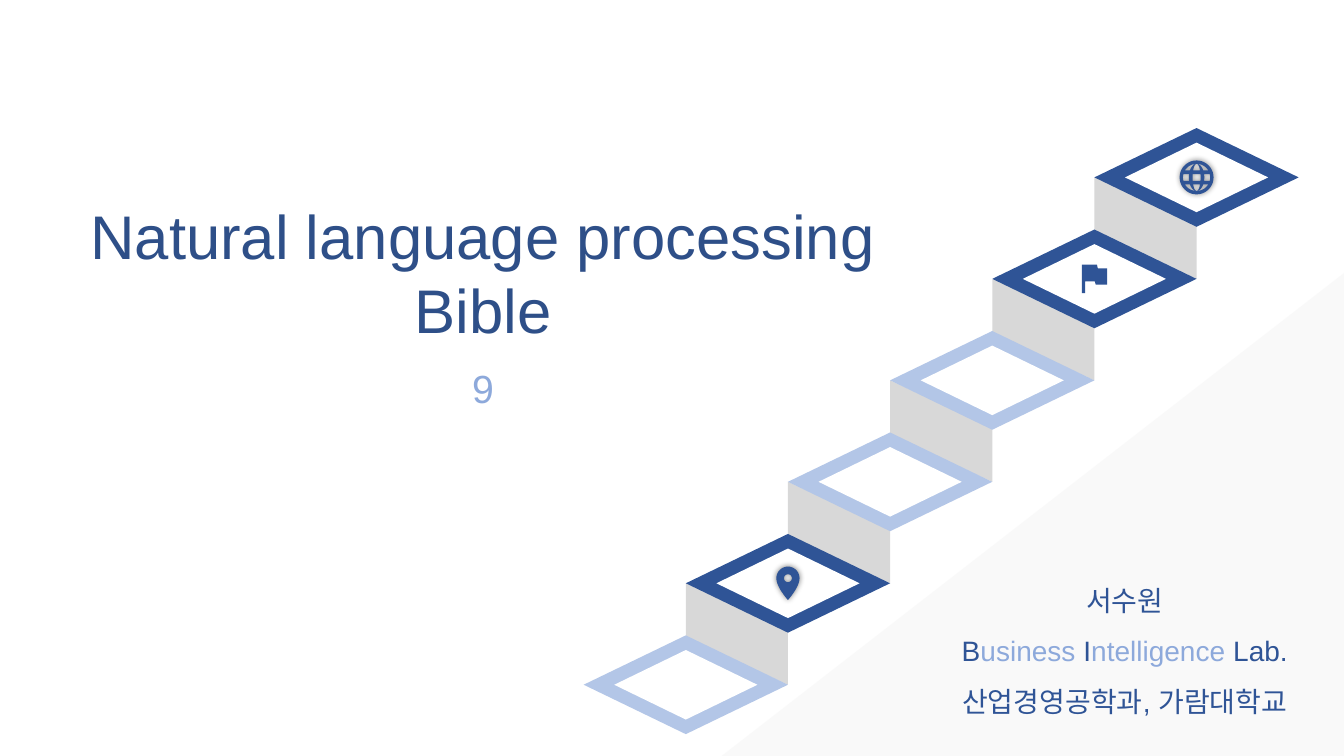
from math import cos, pi, sin, sqrt

from lxml import etree
from pptx import Presentation
from pptx import util as u
from pptx.dml.color import RGBColor
from pptx.enum import shapes, text
from pptx.oxml.ns import qn

NAVY = RGBColor(0x2F, 0x54, 0x96)
TITLE_BLUE = RGBColor(0x2E, 0x4F, 0x88)
SOFT_BLUE = RGBColor(0x8D, 0xA9, 0xDB)
PALE_BLUE = RGBColor(0xB3, 0xC6, 0xE7)
RISER_GREY = RGBColor(0xD8, 0xD8, 0xD8)
CORNER_GREY = RGBColor(0xF2, 0xF2, 0xF2)
WHITE = RGBColor(0xFF, 0xFF, 0xFF)

COLUMNS, ROWS = 160, 90
FONT = "Arial"

# Centres of the steps, from the lowest to the highest, in grid cells
STEP_COLORS = [PALE_BLUE, NAVY, PALE_BLUE, PALE_BLUE, NAVY, NAVY]
STEP_CENTERS = [(81.65 + 12.16 * step, 81.52 - 12.08 * step)
                for step in range(len(STEP_COLORS))]


class Page:
    """Draws on one slide; all lengths are cells of a 160 by 90 grid."""

    def __init__(self, deck):
        self.shapes = deck.slides.add_slide(deck.slide_layouts[6]).shapes
        self.column = deck.slide_width / COLUMNS
        self.row = deck.slide_height / ROWS

    def place(self, left, top, width, height):
        return (round(left * self.column), round(top * self.row),
                round(width * self.column), round(height * self.row))

    def paint(self, shape, color):
        shape.shadow.inherit = False
        shape.fill.solid()
        shape.fill.fore_color.rgb = color
        shape.line.fill.background()
        return shape

    def preset(self, kind, area, color):
        return self.paint(self.shapes.add_shape(kind, *self.place(*area)), color)

    def centered(self, kind, center, width, height, color):
        """Adds a preset shape around its centre."""
        area = (center[0] - width / 2, center[1] - height / 2, width, height)
        return self.preset(kind, area, color)

    def icon(self, center, outlines, glow=False):
        """Adds one freeform; outlines after the first one are holes."""
        contours = [[self.place(center[0] + x, center[1] + y, 0, 0)[:2]
                     for x, y in outline] for outline in outlines]
        builder = self.shapes.build_freeform(*contours[0][0], scale=1.0)
        for index, points in enumerate(contours):
            if index:
                builder.move_to(*points[0])
            builder.add_line_segments(points[1:], close=True)
        shape = self.paint(builder.convert_to_shape(), NAVY)
        if glow:
            effects = shape._element.spPr.find(qn("a:effectLst"))
            shadow = etree.SubElement(effects, qn("a:outerShdw"),
                                      blurRad=str(u.Pt(4)), dist="0", dir="0")
            black = etree.SubElement(shadow, qn("a:srgbClr"), val="000000")
            etree.SubElement(black, qn("a:alpha"), val="45000")

    def text(self, area, paragraphs, size, color, spacing=None):
        """Each paragraph is a list of (words, color) spans; None takes color."""
        box = self.shapes.add_textbox(*self.place(*area))
        frame = box.text_frame
        frame.word_wrap = True
        frame.auto_size = text.MSO_AUTO_SIZE.SHAPE_TO_FIT_TEXT
        frame.vertical_anchor = text.MSO_ANCHOR.MIDDLE
        frame.margin_left = frame.margin_right = 0
        frame.margin_top = frame.margin_bottom = 0
        for index, spans in enumerate(paragraphs):
            para = frame.add_paragraph() if index else frame.paragraphs[0]
            para.alignment = text.PP_ALIGN.CENTER
            para.line_spacing = spacing
            for words, span_color in spans:
                span = para.add_run()
                span.text = words
                span.font.name = FONT
                span.font.size = u.Pt(size)
                span.font.color.rgb = span_color or color


def circle(radius, middle=0, count=40):
    return [(radius * cos(2 * pi * i / count), middle + radius * sin(2 * pi * i / count))
            for i in range(count)]


def pin_outlines():
    radius, middle, tip = 1.38, -0.6, 2.0
    head = [(x, y) for x, y in circle(radius, middle) if y < middle]
    shares = [i / 12 for i in range(13)]
    side = [(radius * (1 - t) ** 2 * (1 + 2 * t),
             middle * (1 - t) ** 3 + 1.44 * t * (1 - t) ** 2 + tip * t * t * (3 - 2 * t))
            for t in shares]
    mirrored = [(-x, y) for x, y in reversed(side[:-1])]
    return [side + mirrored + head, circle(0.47, middle)]


def globe_outlines():
    """A disc with nine windows between meridians and parallels."""
    reach = 1.62
    outlines = [circle(2.02)]
    for top, bottom in [(-1.6, -0.82), (-0.4, 0.4), (0.82, 1.6)]:
        heights = [top + (bottom - top) * i / 8 for i in range(9)]
        for left, right in [(-1.62, -0.92), (-0.48, 0.48), (0.92, 1.62)]:
            edges = [[(edge * sqrt(1 - (y / reach) ** 2), y) for y in heights]
                     for edge in (left, right)]
            outlines.append(edges[0] + edges[1][::-1])
    return outlines


FLAG = [(0.4, -1.25), (0.3, -1.7), (-1.5, -1.7), (-1.5, 1.7), (-1.1, 1.7),
        (-1.1, 0.3), (0.05, 0.3), (0.15, 0.7), (1.5, 0.7), (1.5, -1.25)]


def draw_stairs(page):
    kinds = shapes.MSO_SHAPE
    for (x, y), (next_x, next_y) in zip(STEP_CENTERS, STEP_CENTERS[1:]):
        riser = page.centered(kinds.PARALLELOGRAM, ((x + next_x) / 2, (y + next_y) / 2),
                              12.1, 12.16, RISER_GREY)
        riser.rotation = 270
        riser.adjustments[0] = 0.47
    for center, color in zip(STEP_CENTERS, STEP_COLORS):
        page.centered(kinds.DIAMOND, center, 24.32, 11.76, color)
        page.centered(kinds.DIAMOND, center, 17.04, 8.28, WHITE)
    page.icon(STEP_CENTERS[1], pin_outlines(), glow=True)
    page.icon(STEP_CENTERS[4], [FLAG])
    page.icon(STEP_CENTERS[5], globe_outlines(), glow=True)


def main():
    deck = Presentation()
    deck.slide_width, deck.slide_height = u.Inches(13.33), u.Inches(7.5)
    page = Page(deck)

    corner = page.preset(shapes.MSO_SHAPE.RIGHT_TRIANGLE, (85.9, 32.5, 74.1, 57.5),
                         CORNER_GREY)
    corner._element.spPr.find(qn("a:xfrm")).set("flipH", "1")
    tint = corner._element.spPr.find(qn("a:solidFill"))[0]
    etree.SubElement(tint, qn("a:alpha"), val="40000")

    draw_stairs(page)

    page.text((5.4, 23.5, 104.2, 17.8),
              [[("Natural language processing", None)], [("Bible", None)]],
              size=44, color=TITLE_BLUE)
    page.text((5.4, 43.4, 104.2, 5.6), [[("9", None)]], size=28, color=SOFT_BLUE)
    page.text((111.8, 67.4, 44.2, 18.1),
              [[("서수원", None)],
               [("B", None), ("usiness ", SOFT_BLUE), ("I", None),
                ("ntelligence ", SOFT_BLUE), ("Lab.", None)],
               [("산업경영공학과, 가람대학교", None)]],
              size=20, color=NAVY, spacing=1.5)

    deck.save("out.pptx")


if __name__ == "__main__":
    main()
